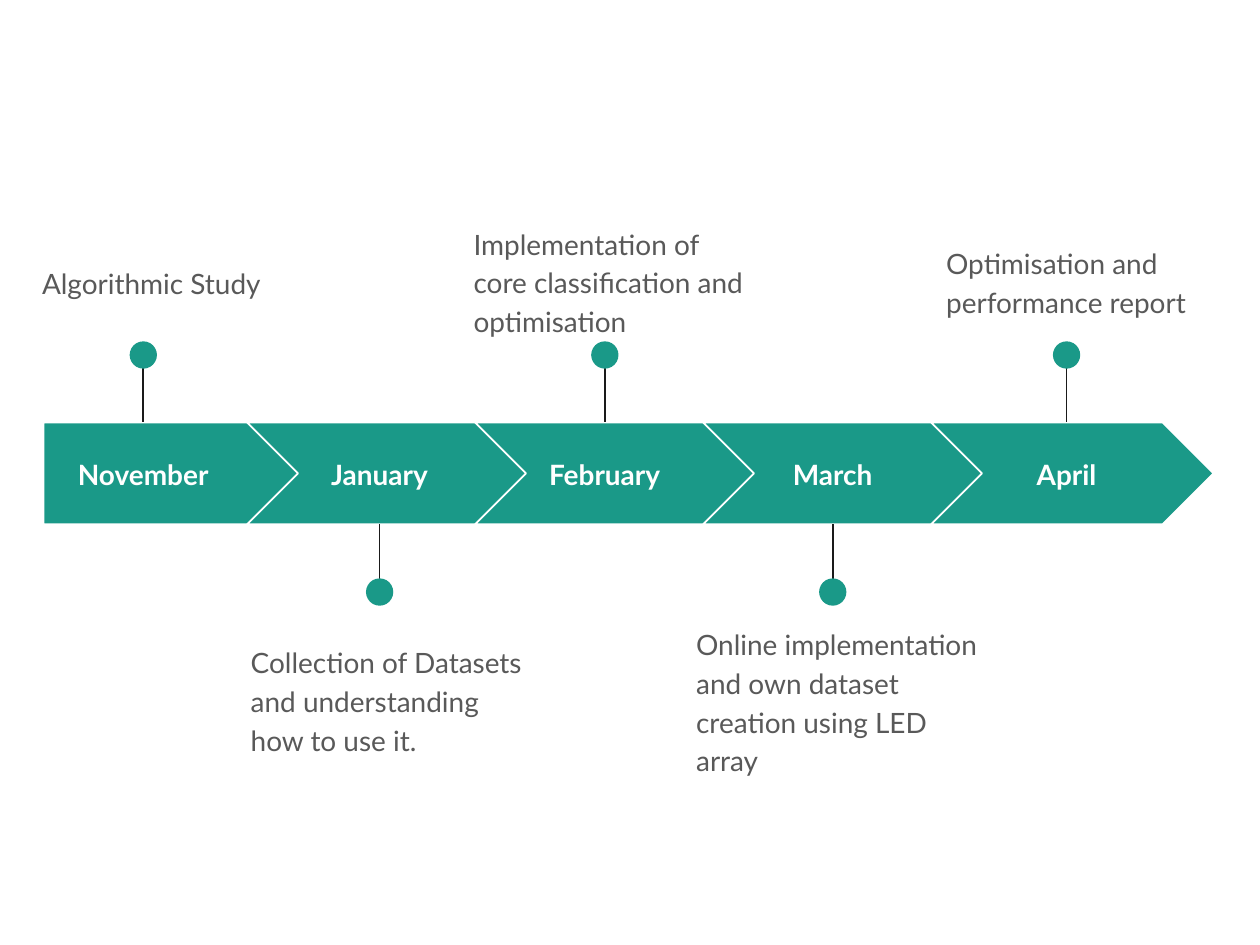
import pptx
import pptx.util
import pptx.dml.color
import pptx.enum.shapes
import pptx.enum.text
import pptx.oxml

Pt = pptx.util.Pt
SHAPE = pptx.enum.shapes.MSO_SHAPE
ALIGN = pptx.enum.text.PP_ALIGN
ANCHOR = pptx.enum.text.MSO_ANCHOR
HEX = {"teal": "1A9988", "white": "FFFFFF", "ink": "1A1A1A", "gray": "595959"}


def color(name):
    return pptx.dml.color.RGBColor.from_string(HEX[name])


def add_text(words, left, top, width, height, tint):
    box = slide.shapes.add_textbox(Pt(left), Pt(top), Pt(width), Pt(height))
    frame = box.text_frame
    frame.word_wrap = True
    frame.margin_left = frame.margin_right = Pt(5)
    frame.margin_top = frame.margin_bottom = Pt(5)
    frame.text = words
    para = frame.paragraphs[0]
    para.font.name = "Lato"
    para.font.size = Pt(12)
    para.font.color.rgb = color(tint)
    return frame, para


deck = pptx.Presentation()
deck.slide_width = Pt(540)
deck.slide_height = Pt(405)
slide = deck.slides.add_slide(deck.slide_layouts[6])

# Month, pin centre, then the note with its left, top, width and height
steps = [
    ("November", 61.4, "Algorithmic Study", 13, 107.3, 108.7, 26.6),
    ("January", 162.7, "Collection of Datasets and understanding how to use it.",
     102.5, 269.7, 132.5, 53.3),
    ("February", 259.2, "Implementation of core classification and optimisation",
     198, 90.2, 132.5, 53.3),
    ("March", 356.9, "Online implementation and own dataset creation using LED array",
     293.4, 262, 136.8, 69.1),
    ("April", 457.1, "Optimisation and performance report", 400.5, 98.5, 126, 43.9),
]
top, high = 181.1, 43.6
first, start, pitch = 18.7, 105.9, 97.72
dot = 11.7

for i, (month, mid, note, left, note_top, wide, tall) in enumerate(steps):
    # Arrow of the band
    if i == 0:
        kind, x, width = SHAPE.PENTAGON, first, 110.6
    else:
        kind, x, width = SHAPE.CHEVRON, start + (i - 1) * pitch, 121
    arrow = slide.shapes.add_shape(kind, Pt(x), Pt(top), Pt(width), Pt(high))
    arrow.shadow.inherit = False
    arrow.adjustments[0] = 0.5
    arrow.fill.solid()
    arrow.fill.fore_color.rgb = color("teal")
    arrow.line.color.rgb = color("white")
    arrow.line.width = Pt(0.75)

    # Month name
    frame, para = add_text(month, mid - 43, 189.2, 86, 28, "white")
    frame.vertical_anchor = ANCHOR.MIDDLE
    para.alignment = ALIGN.CENTER
    para.font.bold = True

    # Pin, above and below the band in turn
    if i % 2 == 0:
        edge, tip, dot_top = top, 148.3, 146.3
    else:
        edge, tip, dot_top = top + high, 257.2, 247.9
    stem = slide.shapes.add_connector(
        pptx.enum.shapes.MSO_CONNECTOR.STRAIGHT, Pt(mid), Pt(tip), Pt(mid), Pt(edge))
    stem.line.color.rgb = color("ink")
    stem.line.width = Pt(0.75)
    stem.element.spPr.append(pptx.oxml.parse_xml(
        '<a:effectLst xmlns:a="http://schemas.openxmlformats.org/drawingml/2006/main"/>'))
    head = slide.shapes.add_shape(
        SHAPE.OVAL, Pt(mid - dot / 2), Pt(dot_top), Pt(dot), Pt(dot))
    head.shadow.inherit = False
    head.fill.solid()
    head.fill.fore_color.rgb = color("teal")
    head.line.fill.background()

    # Note
    frame, para = add_text(note, left, note_top, wide, tall, "gray")
    para.line_spacing = 1.15
    para.space_after = Pt(12)

deck.save("out.pptx")
